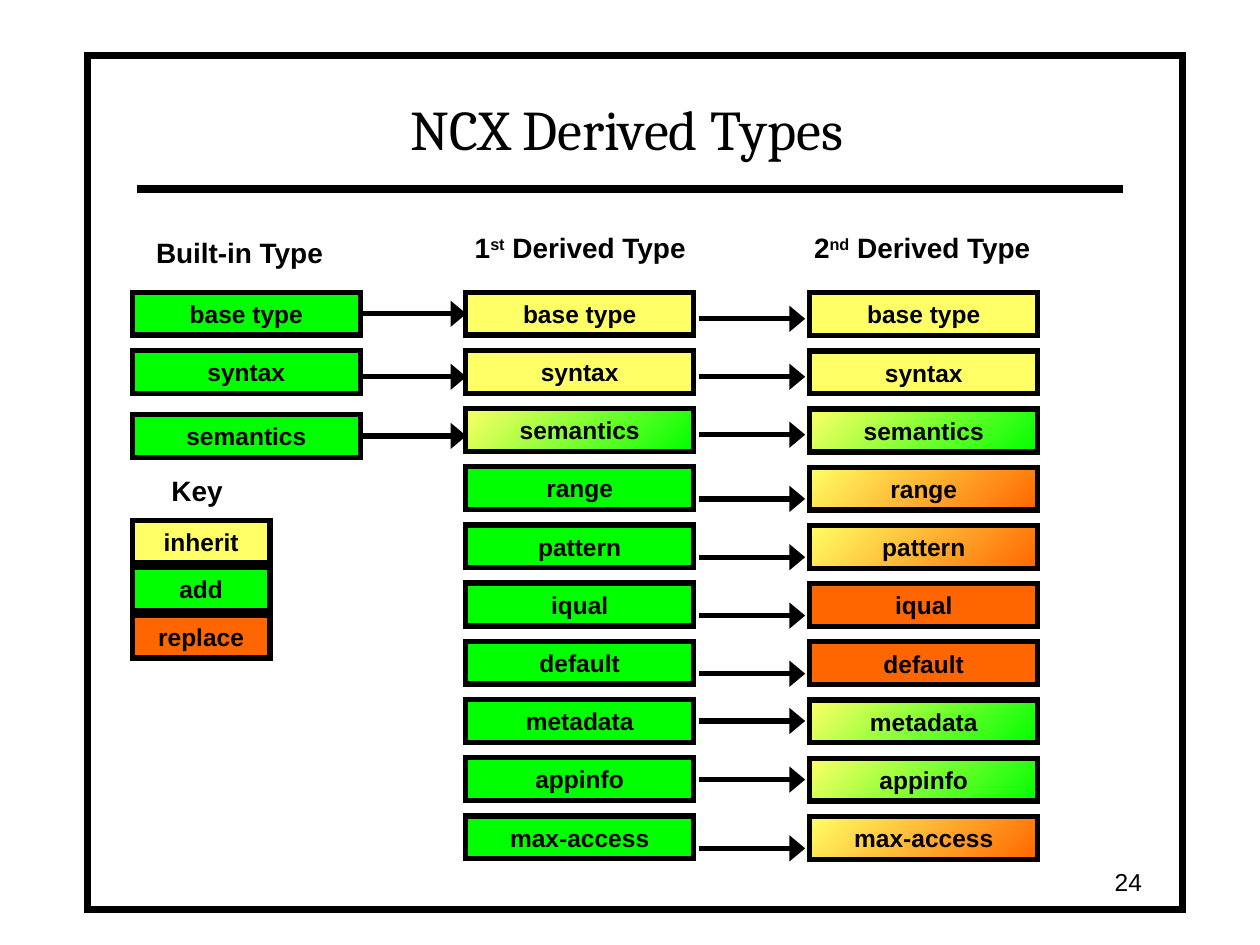
from lxml.etree import SubElement
from pptx import Presentation
from pptx.dml.color import RGBColor
from pptx.enum.shapes import MSO_CONNECTOR, MSO_SHAPE
from pptx.enum.text import MSO_ANCHOR, PP_ALIGN
from pptx.oxml.ns import qn
from pptx.util import Pt

COLORS = {
    "black": "000000",
    "white": "FFFFFF",
    "inherit": "FFFF66",
    "add": "00FF00",
    "replace": "FF6600",
}

BUILT_IN_X, FIRST_X, SECOND_X = 75.6, 266.1, 462.7
BOX_WIDTH, BOX_HEIGHT, KEY_WIDTH = 130.4, 24.5, 78.7
ROWS_TOP, ROW_PITCH = 167, 33.25
KEY_TOP, KEY_PITCH = 297.3, 27.1
ARROW_LENGTH = 60.5

# Name, top and centre of the arrow that leaves the field
BUILT_IN_FIELDS = [
    ("base type", 167, 179.3),
    ("syntax", 200.3, 215.3),
    ("semantics", 236.9, 249.1),
]
# Name, treatment in each derived type, and centre of the arrow between them
DERIVED_FIELDS = [
    ("base type", ["inherit"], ["inherit"], 182.2),
    ("syntax", ["inherit"], ["inherit"], 215.3),
    ("semantics", ["add", "inherit"], ["add", "inherit"], 248.4),
    ("range", ["add"], ["replace", "inherit"], 285.1),
    ("pattern", ["add"], ["replace", "inherit"], 318.4),
    ("iqual", ["add"], ["replace"], 351.8),
    ("default", ["add"], ["replace"], 385),
    ("metadata", ["add"], ["add", "inherit"], 412),
    ("appinfo", ["add"], ["add", "inherit"], 445.5),
    ("max-access", ["add"], ["replace", "inherit"], 484.8),
]


def rgb(name):
    return RGBColor.from_string(COLORS[name])


def format_paragraph(paragraph, size, bold=True, align=PP_ALIGN.LEFT, font="Arial"):
    paragraph.alignment = align
    paragraph.font.name = font
    paragraph.font.size = Pt(size)
    paragraph.font.bold = bold
    paragraph.font.color.rgb = rgb("black")


def add_box(slide, left, top, width, height, treatments, line_width=3):
    """Draw a square-cornered outlined box; two treatments make a diagonal gradient."""
    box = slide.shapes.add_shape(
        MSO_SHAPE.RECTANGLE, Pt(left), Pt(top), Pt(width), Pt(height))
    box.shadow.inherit = False
    box.line.color.rgb = rgb("black")
    box.line.width = Pt(line_width)
    SubElement(box.line._get_or_add_ln(), qn("a:miter"), lim="800000")
    if len(treatments) == 1:
        box.fill.solid()
        box.fill.fore_color.rgb = rgb(treatments[0])
    else:
        box.fill.gradient()
        box.fill.gradient_angle = 135
        for position, (stop, name) in enumerate(zip(box.fill.gradient_stops, treatments)):
            stop.color.rgb = rgb(name)
            stop.position = position
    return box


def add_field(slide, name, left, top, treatments, width=BOX_WIDTH):
    frame = add_box(slide, left, top, width, BOX_HEIGHT, treatments).text_frame
    frame.vertical_anchor = MSO_ANCHOR.MIDDLE
    frame.text = name
    format_paragraph(frame.paragraphs[0], 14, align=PP_ALIGN.CENTER)


def add_line(slide, left, right, y, width=3):
    line = slide.shapes.add_connector(
        MSO_CONNECTOR.STRAIGHT, Pt(left), Pt(y), Pt(right), Pt(y))
    line.line.color.rgb = rgb("black")
    line.line.width = Pt(width)
    SubElement(line._element.spPr, qn("a:effectLst"))
    return line


def add_arrow(slide, left, y):
    arrow = add_line(slide, left, left + ARROW_LENGTH, y)
    SubElement(arrow.line._get_or_add_ln(), qn("a:tailEnd"), type="triangle", w="lg")


def add_label(slide, left, top, width, text, ordinal=""):
    """Add a heading; an ordinal such as "1st" has its suffix raised."""
    frame = slide.shapes.add_textbox(Pt(left), Pt(top), Pt(width), Pt(26.6)).text_frame
    frame.word_wrap = True
    paragraph = frame.paragraphs[0]
    if ordinal:
        paragraph.add_run().text = ordinal[0]
        suffix = paragraph.add_run()
        suffix.text = ordinal[1:]
        suffix.font._element.set("baseline", "30000")
    paragraph.add_run().text = text
    format_paragraph(paragraph, 16)


def set_title(slide, text):
    title = slide.shapes.title
    title.left, title.top, title.width, title.height = Pt(77.8), Pt(41.8), Pt(560.9), Pt(54)
    title.text_frame.text = text
    title.text_frame.vertical_anchor = MSO_ANCHOR.BOTTOM
    format_paragraph(title.text_frame.paragraphs[0], 32, False, PP_ALIGN.CENTER, "Cambria")


def add_page_number(slide, number):
    frame = slide.shapes.add_textbox(Pt(509.8), Pt(491.8), Pt(149.8), Pt(23.8)).text_frame
    frame.word_wrap = True
    frame.vertical_anchor = MSO_ANCHOR.MIDDLE
    frame.text = number
    format_paragraph(frame.paragraphs[0], 14, False, PP_ALIGN.RIGHT)


def add_frame(slide):
    """Put the page border behind the title, with the rule under it."""
    border = add_box(slide, 50, 32, 625.7, 488, ["white"], 4)
    slide.shapes._spTree.insert(2, border._element)
    add_line(slide, 78.3, 642, 108, 4.5)


def main():
    presentation = Presentation()
    presentation.slide_width, presentation.slide_height = Pt(720), Pt(540)
    slide = presentation.slides.add_slide(presentation.slide_layouts[5])

    add_frame(slide)
    set_title(slide, "NCX Derived Types")

    add_label(slide, 82.1, 131, 116, "Built-in Type")
    add_label(slide, 264.2, 128.2, 142, " Derived Type", "1st")
    add_label(slide, 458.1, 128.2, 145, " Derived Type", "2nd")
    add_label(slide, 90.9, 267.1, 52, "Key")

    for name, top, arrow_y in BUILT_IN_FIELDS:
        add_field(slide, name, BUILT_IN_X, top, ["add"])
        add_arrow(slide, BUILT_IN_X + BOX_WIDTH, arrow_y)

    for row, (name, first, second, arrow_y) in enumerate(DERIVED_FIELDS):
        top = ROWS_TOP + row * ROW_PITCH
        add_field(slide, name, FIRST_X, top, first)
        add_field(slide, name, SECOND_X, top + 0.3, second)
        add_arrow(slide, 399.6, arrow_y)

    for row, name in enumerate(["inherit", "add", "replace"]):
        add_field(slide, name, BUILT_IN_X, KEY_TOP + row * KEY_PITCH, [name], KEY_WIDTH)

    add_page_number(slide, "24")
    presentation.save("out.pptx")


if __name__ == "__main__":
    main()
